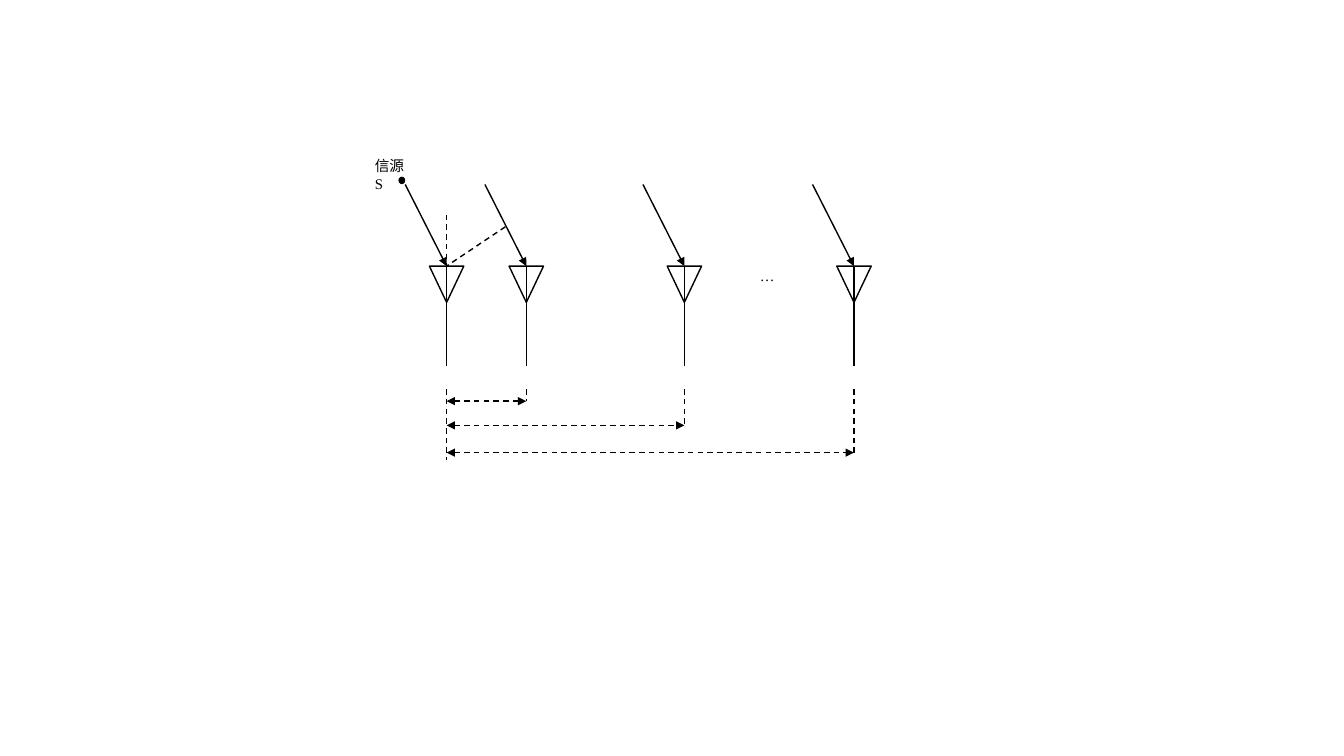
from lxml import etree
from pptx import Presentation
from pptx import util as u
from pptx.dml.color import RGBColor
from pptx.enum import dml, shapes, text
from pptx.oxml.ns import qn

HUES = {"ink": "000000", "paper": "FFFFFF"}


class Board:
    def __init__(self, deck, font="Times New Roman", size=10.5, weight=1):
        self.deck = deck
        self.slide = deck.slides.add_slide(deck.slide_layouts[6])
        self.font, self.size, self.weight = font, size, weight

    def across(self, share):
        return round(self.deck.slide_width * share / 100)

    def down(self, share):
        return round(self.deck.slide_height * share / 100)

    def frame(self, x, y, w, h):
        return self.across(x), self.down(y), self.across(w), self.down(h)

    def hue(self, name):
        return RGBColor.from_string(HUES[name])

    def stroke(self, item):
        item.line.color.rgb = self.hue("ink")
        item.line.width = u.Pt(self.weight)

    def shape(self, kind, x, y, w, h, fill, turn=0):
        item = self.slide.shapes.add_shape(kind, *self.frame(x, y, w, h))
        item.shadow.inherit = False
        item.fill.solid()
        item.fill.fore_color.rgb = self.hue(fill)
        item.rotation = turn
        self.stroke(item)

    def line(self, x1, y1, x2, y2, dash=False, heads=()):
        item = self.slide.shapes.add_connector(
            shapes.MSO_CONNECTOR.STRAIGHT,
            self.across(x1), self.down(y1), self.across(x2), self.down(y2))
        self.stroke(item)
        if dash:
            item.line.dash_style = dml.MSO_LINE.DASH
        props = item._element.spPr
        for end in heads:
            etree.SubElement(props.find(qn("a:ln")), qn(f"a:{end}"), type="triangle")
        etree.SubElement(props, qn("a:effectLst"))

    def label(self, words, x, y, w, h):
        box = self.slide.shapes.add_textbox(*self.frame(x, y, w, h)).text_frame
        box.word_wrap = True
        box.auto_size = text.MSO_AUTO_SIZE.NONE
        box.text = words
        font = box.paragraphs[0].runs[0].font
        font.name, font.size = self.font, u.Pt(self.size)
        font.color.rgb = self.hue("ink")

    def antenna(self, x, top, width=2.56, height=4.8, foot=48.4):
        self.shape(shapes.MSO_SHAPE.ISOSCELES_TRIANGLE,
                   x - width / 2, top, width, height, "paper", turn=180)
        self.line(x, top, x, foot)
        self.line(x - 3.08, 24.4, x, top, heads=["tailEnd"])

    def span(self, start, end, y, top):
        self.line(start, y, end, y, dash=True, heads=["headEnd", "tailEnd"])
        self.line(end, top, end, y, dash=True)


def main():
    deck = Presentation()
    deck.slide_width, deck.slide_height = u.Inches(13.33), u.Inches(7.5)
    board = Board(deck)

    first, *others = masts = [33.23, 39.16, 50.92, 63.54]
    top, tick = 35.2, 51.47
    for x in masts:
        board.antenna(x, top)

    board.shape(shapes.MSO_SHAPE.OVAL, 29.7, 23.47, 0.4, 0.8, "ink")
    board.label("信源S", 27.15, 20.13, 4.2, 3.73)
    board.label("…", 55.8, 34.67, 2.63, 3.73)

    board.line(first, 28.4, first, top, dash=True)
    board.line(37.6, 30, first, top, dash=True)
    board.line(first, tick, first, 60.8, dash=True)
    for x, y in zip(others, [53.07, 56.27, 59.87]):
        board.span(first, x, y, tick)

    deck.save("out.pptx")


if __name__ == "__main__":
    main()
